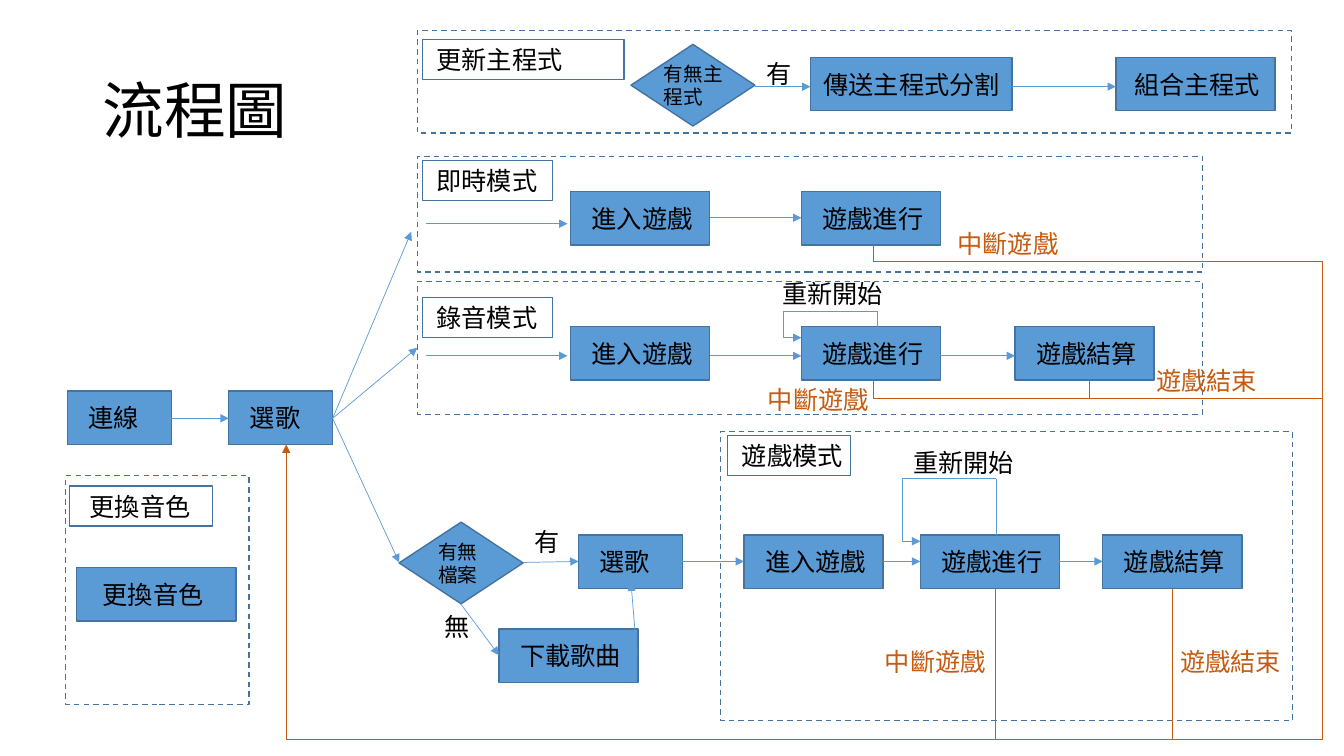
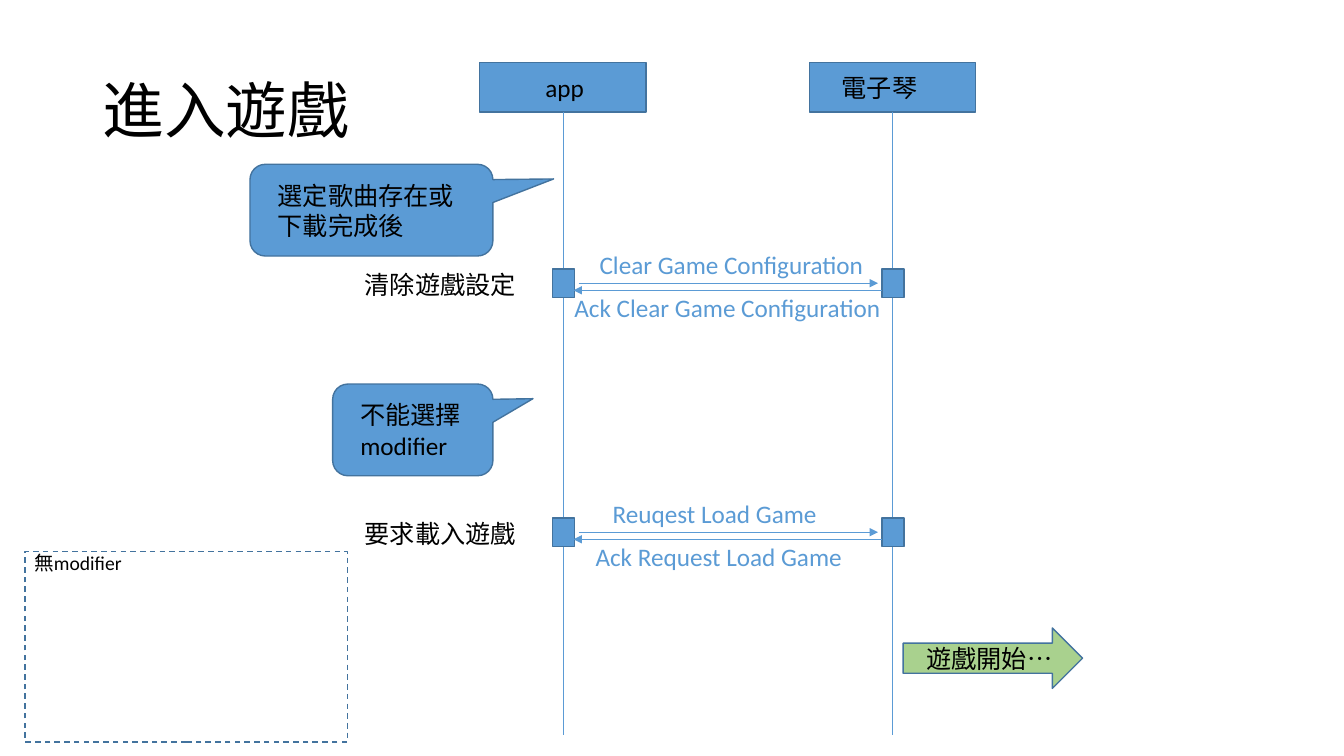
import dataclasses
import itertools
import typing

import pptx
import pptx.dml.color
import pptx.enum.dml
import pptx.enum.shapes
import pptx.enum.text
import pptx.oxml
import pptx.oxml.ns
import pptx.util

BLUE = pptx.dml.color.RGBColor(0x5B, 0x9B, 0xD5)
EDGE = pptx.dml.color.RGBColor(0x43, 0x73, 0x9E)
ORANGE = pptx.dml.color.RGBColor(0xC5, 0x5A, 0x11)
GREEN = pptx.dml.color.RGBColor(0xA9, 0xD1, 0x8E)
BLACK = pptx.dml.color.RGBColor(0, 0, 0)
FONT = "Calibri"
SHAPE = pptx.enum.shapes.MSO_SHAPE
ANCHOR = pptx.enum.text.MSO_ANCHOR

WIDTH, HEIGHT = pptx.util.Inches(13.333), pptx.util.Inches(7.5)
CELL = HEIGHT / 75
STEP_W, SHORT_W, STEP_H, TAG_H = 13.8, 10.3, 5.3, 4
RETURN_X, RETURN_Y = 131.2, 73.4


def cells(*lengths):
    """Convert grid cells to slide lengths."""
    return [round(length * CELL) for length in lengths]


def write(frame, text, size, color, anchor, insets=(1, 0.5, 1, 0.5)):
    """Fill a text frame with one left-aligned paragraph."""
    frame.word_wrap = True
    frame.vertical_anchor = anchor
    (frame.margin_left, frame.margin_top,
     frame.margin_right, frame.margin_bottom) = cells(*insets)
    paragraph = frame.paragraphs[0]
    paragraph.text = text
    paragraph.alignment = pptx.enum.text.PP_ALIGN.LEFT
    paragraph.font.name = FONT
    paragraph.font.size = pptx.util.Pt(size)
    paragraph.font.color.rgb = color
    return paragraph


@dataclasses.dataclass
class Region:
    """A box on the grid whose parts are placed from its top left corner."""

    slide: typing.Any
    left: float = 0
    top: float = 0
    width: float = 133.33
    height: float = 75

    def block(self, x, y, w, h, text="", inset=2.1, right=0, fill=BLUE,
              kind=SHAPE.RECTANGLE, size=18, anchor=ANCHOR.MIDDLE):
        """Draw an outlined shape with its text inside."""
        shape = self.slide.shapes.add_shape(
            kind, *cells(self.left + x, self.top + y, w, h))
        shape.shadow.inherit = False
        if fill is None:
            shape.fill.background()
        else:
            shape.fill.solid()
            shape.fill.fore_color.rgb = fill
        shape.line.color.rgb = EDGE
        shape.line.width = pptx.util.Pt(1)
        if text:
            write(shape.text_frame, text, size, BLACK, anchor, (inset, 0, right, 0))
        return shape

    def border(self, text="", **style):
        """Outline the whole region with dashes."""
        outline = self.block(0, 0, self.width, self.height, text, fill=None, **style)
        outline.line.dash_style = pptx.enum.dml.MSO_LINE.DASH

    def tag(self, x, y, w, text, inset=1.4):
        """Name the region in an unfilled box."""
        self.block(x, y, w, TAG_H, text, inset, fill=None)

    def step(self, x, y, text, w=STEP_W, inset=2.1):
        """Draw one step of the flow."""
        self.block(x, y, w, STEP_H, text, inset)

    def decision(self, x, y, text, inset):
        """Draw a question as a diamond."""
        self.block(x, y, 12.3, 8.1, text, inset, size=14,
                   kind=SHAPE.FLOWCHART_DECISION)

    def note(self, x, y, text, color=BLACK, w=13.6):
        """Write free text beside the flow."""
        box = self.slide.shapes.add_textbox(
            *cells(self.left + x, self.top + y, w, TAG_H))
        write(box.text_frame, text, 18, color, ANCHOR.TOP)

    def route(self, *points, color=BLUE, arrow=True):
        """Join points by straight lines, with an arrowhead at the end."""
        for start, end in itertools.pairwise(points):
            ends = [self.left + start[0], self.top + start[1],
                    self.left + end[0], self.top + end[1]]
            line = self.slide.shapes.add_connector(
                pptx.enum.shapes.MSO_CONNECTOR.STRAIGHT, *cells(*ends))
            line.line.color.rgb = color
            line.line.width = pptx.util.Pt(0.5)
            if arrow and end == points[-1]:
                pptx.oxml.ns.qn("a:tailEnd")
                head = line.line._get_or_add_ln().makeelement(
                    pptx.oxml.ns.qn("a:tailEnd"), {"type": "triangle"})
                line.line._get_or_add_ln().append(head)
            properties = line._element.spPr
            properties.append(properties.makeelement(pptx.oxml.ns.qn("a:effectLst"), {}))

    def chain(self, y, steps, middle=2.6):
        """Draw a row of steps joined by arrows."""
        for x, text in steps:
            self.step(x, y, text)
        for (x, _), (following, _) in itertools.pairwise(steps):
            self.route((x + STEP_W, y + middle), (following, y + middle))

    def restart(self, x, y, rise, drop, note_x, note_y):
        """Loop from the top of a step back to its left side."""
        self.route((x + 7.5, y), (x + 7.5, y - rise), (x - 1.8, y - rise),
                   (x - 1.8, y + drop), (x, y + drop))
        self.note(note_x, note_y, "重新開始")

    def leave(self, x, y, *turns):
        """Draw an exit line towards the return line."""
        self.route((x, y), *turns, color=ORANGE, arrow=False)


def title(slide, text):
    """Write the slide title."""
    box = slide.shapes.add_textbox(*cells(9.2, 4, 115, 14.5))
    paragraph = write(box.text_frame, text, 44, BLACK, ANCHOR.MIDDLE)
    paragraph.line_spacing = 0.9


def update_panel(area):
    """Show how the main program is updated."""
    area.border()
    area.tag(0.5, 0.9, 20, "更新主程式")
    area.decision(21.2, 1.4, "有無主程式", 0.2)
    area.step(39, 2.7, "傳送主程式分割", 20, 1.3)
    area.step(69.3, 2.7, "組合主程式", 15.8, 1.8)
    area.route((33.5, 5.6), (39, 5.6))
    area.route((59, 5.6), (69.3, 5.6))
    area.note(33.7, 2.3, "有", w=6.1)


def live_panel(area):
    """Show the live mode."""
    area.border()
    area.tag(0.5, 0.4, 12.9, "即時模式")
    area.route((0.9, 6.7), (14.9, 6.7))
    area.chain(3.5, [(15.2, "進入遊戲"), (38.1, "遊戲進行")])
    area.leave(45.2, 8.7, (45.2, 10.4), (RETURN_X - area.left, 10.4))
    area.note(52.6, 6.7, "中斷遊戲", ORANGE)


def record_panel(area):
    """Show the recording mode."""
    area.border()
    area.tag(0.5, 1.6, 12.9, "錄音模式")
    area.route((0.9, 7.4), (14.9, 7.4))
    area.chain(4.5, [(15.2, "進入遊戲"), (38.1, "遊戲進行"), (59.3, "遊戲結算")], 2.9)
    area.restart(38.1, 4.5, 1.5, 1.1, 35.2, -0.8)
    area.leave(45.2, 9.8, (45.2, 11.6), (RETURN_X - area.left, 11.6))
    area.leave(66.7, 9.8, (66.7, 11.6))
    area.note(33.8, 9.7, "中斷遊戲", ORANGE)
    area.note(72.3, 7.9, "遊戲結束", ORANGE)


def game_panel(area):
    """Show the game mode."""
    area.border()
    area.tag(0.7, 0.4, 12.2, "遊戲模式")
    area.chain(10.3, [(2.3, "進入遊戲"), (19.8, "遊戲進行"), (37.9, "遊戲結算")])
    area.restart(19.8, 10.3, 5.6, 0.6, 18.1, 1.1)
    for x, note_x, reason in [(27.2, 15.3, "中斷遊戲"), (44.8, 44.6, "遊戲結束")]:
        area.leave(x, 15.6, (x, RETURN_Y - area.top))
        area.note(note_x, 20.8, reason, ORANGE)


def tone_panel(area):
    """Show the change of tone."""
    area.border()
    area.tag(0.4, 1, 14.2, "更換音色", 2)
    area.step(1.1, 9.1, "更換音色", 15.8, 2.6)


def song_choice(area):
    """Connect, choose a song and branch to the modes."""
    area.step(0, 0, "連線", SHORT_W)
    area.step(16, 0, "選歌", SHORT_W)
    area.route((SHORT_W, 2.7), (16, 2.7))
    for target in [(32.9, 17), (34.7, -4.3), (34.1, -15.8)]:
        area.route((26.3, 2.7), target)


def file_check(area):
    """Check the song file and download it when missing."""
    area.decision(0, 0, "有無檔案", 0.8)
    area.step(17.8, 1.3, "選歌", SHORT_W)
    area.step(9.9, 10.6, "下載歌曲")
    area.route((12.3, 4), (17.8, 3.9))
    area.route((6.1, 8.1), (9.9, 13.2))
    area.route((23.6, 13.2), (23, 6))
    area.route((28.1, 3.9), (34.2, 3.9))
    area.note(12.4, -0.1, "有", w=6.1)
    area.note(3.5, 8.4, "無", w=6.1)


def flow_slide(slide):
    """Build the flow chart."""
    title(slide, "流程圖")
    song_choice(Region(slide, 6.7, 38.8))
    live_panel(Region(slide, 41.4, 15.5, 77.9, 11.5))
    record_panel(Region(slide, 41.4, 27.9, 77.9, 13.2))
    game_panel(Region(slide, 71.5, 42.8, 56.7, 28.7))
    file_check(Region(slide, 39.6, 51.8))
    update_panel(Region(slide, 41.4, 3, 86.7, 10.2))
    tone_panel(Region(slide, 6.5, 47.2, 18.2, 22.7))
    Region(slide).route((RETURN_X, 25.9), (RETURN_X, RETURN_Y), (28.4, RETURN_Y),
                        (28.4, 44.1), color=ORANGE)


def lifeline(area, name, inset):
    """Draw a participant and its lifeline."""
    area.block(0, 0, area.width, area.height, name, inset)
    middle = area.width / 2
    area.route((middle, area.height), (middle, 66.7), arrow=False)


def exchange(area, action, request, request_x, reply, reply_x):
    """Draw a request and its reply between the two lifelines."""
    for x in (0, area.width - 2.2):
        area.block(x, 0, 2.2, area.height)
    area.route((2.6, 1.4), (area.width - 2.6, 1.4))
    area.route((area.width - 2.2, 2.1), (2.1, 2.1))
    area.note(-19.6, -0.5, action, w=22)
    area.note(request_x, -2.5, request, BLUE, 30)
    area.note(reply_x, 1.8, reply, BLUE, 34)


def remark(area, text):
    """Draw a callout that points to the app lifeline."""
    callout = area.block(0, 0, area.width, area.height, text, 2.3, 1.8,
                         kind=SHAPE.ROUNDED_RECTANGULAR_CALLOUT)
    callout.adjustments[0] = 0.75
    callout.adjustments[1] = -0.34


def sequence_slide(slide):
    """Build the sequence for entering the game."""
    title(slide, "進入遊戲")
    lifeline(Region(slide, 47.6, 6.2, 16.5, 4.9), "app", 6.5)
    lifeline(Region(slide, 80.3, 6.2, 16.5, 4.9), "電子琴", 3.2)
    remark(Region(slide, 24.8, 16.3, 24.1, 9.1), "選定歌曲存在或下載完成後")
    exchange(Region(slide, 54.8, 26.7, 34.9, 2.8), "清除遊戲設定",
             "Clear Game Configuration", 3.7, "Ack Clear Game Configuration", 1.2)
    remark(Region(slide, 33, 38.1, 15.9, 9.1), "不能選擇modifier")
    exchange(Region(slide, 54.8, 51.4, 34.9, 2.8), "要求載入遊戲",
             "Reuqest Load Game", 5, "Ack Request Load Game", 3.3)
    Region(slide, 2.5, 54.7, 32, 18.9).border(
        "無modifier", inset=0.9, size=14, anchor=ANCHOR.TOP)
    Region(slide, 89.6, 62.3).block(0, 0, 17.8, 6, "遊戲開始…", 2.3, fill=GREEN,
                                    kind=SHAPE.RIGHT_ARROW)


def main():
    """Build both slides and save them."""
    deck = pptx.Presentation()
    deck.slide_width, deck.slide_height = WIDTH, HEIGHT
    for build in (flow_slide, sequence_slide):
        build(deck.slides.add_slide(deck.slide_layouts[6]))
    deck.save("out.pptx")


main()
